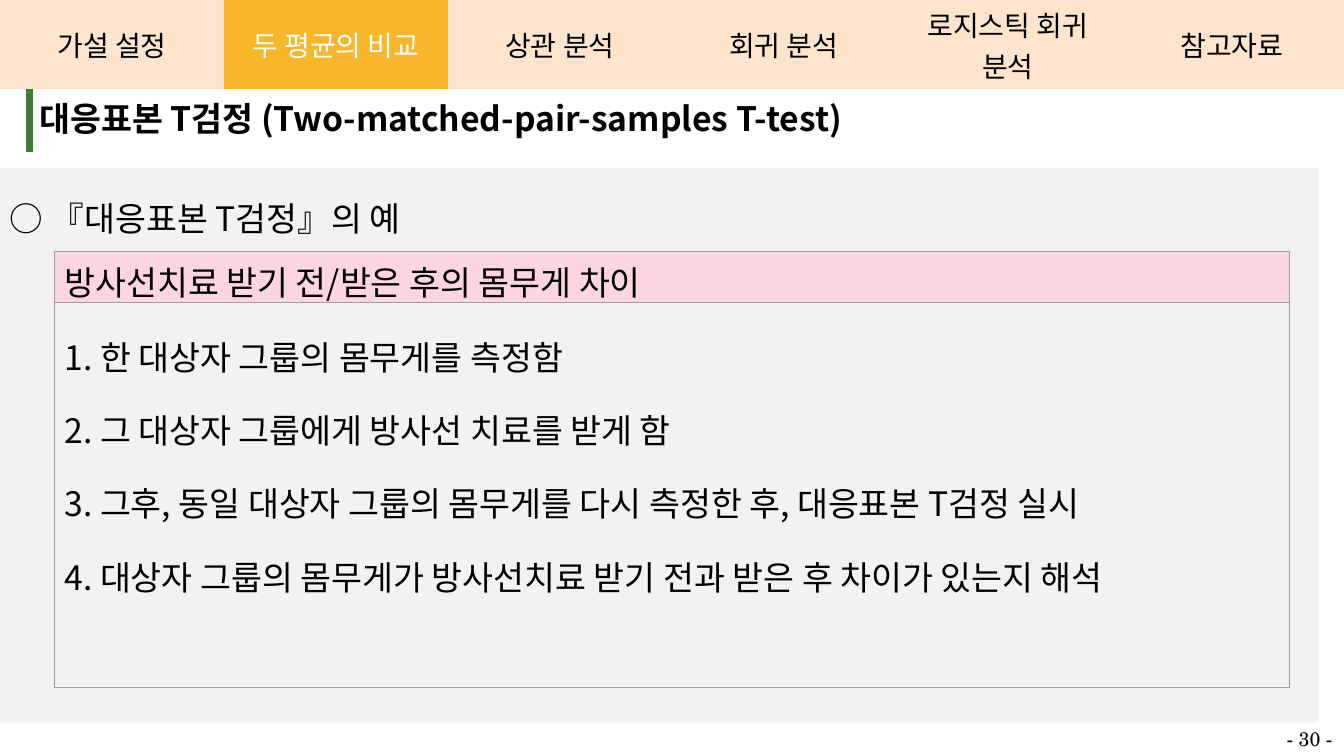
from dataclasses import dataclass
from typing import Optional

from lxml.etree import SubElement
from pptx import Presentation
from pptx.dml.color import RGBColor
from pptx.enum.shapes import MSO_SHAPE
from pptx.enum.text import MSO_ANCHOR, MSO_AUTO_SIZE, PP_ALIGN
from pptx.oxml.ns import qn
from pptx.util import Emu, Inches, Pt

COLORS = {
    "black": "000000", "white": "FFFFFF", "panel": "F2F2F2", "tab": "FCE5CC",
    "active": "F8B62A", "green": "3E7D33", "pink": "FFC9D7", "rule": "9E9E9E",
}
SANS = "Noto Sans CJK KR"
SERIF = "TeX Gyre Schola"
WIDTH, HEIGHT = Emu(12192000), Emu(6858000)
COLS, ROWS = 160, 90


@dataclass
class Box:
    left: float
    top: float
    width: float
    height: float

    def place(self) -> tuple:
        return col(self.left), row(self.top), col(self.width), row(self.height)


@dataclass
class Style:
    size: float = 24
    color: str = "black"
    bold: bool = False
    font: str = SANS
    align: PP_ALIGN = PP_ALIGN.LEFT
    spacing: Optional[float] = None


@dataclass
class Cell:
    text: str
    style: Style
    fill: Optional[str] = None
    alpha: int = 100
    anchor: MSO_ANCHOR = MSO_ANCHOR.TOP
    margins: tuple = (0.1, 0.05, 0.1, 0.05)


@dataclass
class Border:
    sides: str
    color: str
    width: float


def col(n: float) -> Emu:
    return Emu(round(WIDTH * n / COLS))


def row(n: float) -> Emu:
    return Emu(round(HEIGHT * n / ROWS))


def rgb(name: str) -> RGBColor:
    return RGBColor.from_string(COLORS[name])


def write(tf, text: str, style: Style) -> None:
    tf.text = text
    for p in tf.paragraphs:
        p.alignment = style.align
        if style.spacing:
            p.line_spacing = style.spacing
        for r in p.runs:
            r.font.size = Pt(style.size)
            r.font.bold = style.bold
            r.font.name = style.font
            r.font.color.rgb = rgb(style.color)
            SubElement(r.font._element, qn("a:ea"), typeface=style.font)


def set_margins(target, margins: tuple) -> None:
    left, top, right, bottom = (Inches(m) for m in margins)
    target.margin_left, target.margin_top = left, top
    target.margin_right, target.margin_bottom = right, bottom


def set_borders(cell, border: Optional[Border]) -> None:
    tcPr = cell._tc.get_or_add_tcPr()
    for side in "LRTB":
        ln = SubElement(tcPr, qn(f"a:ln{side}"))
        if border and side in border.sides:
            ln.set("w", str(Pt(border.width)))
            fill = SubElement(ln, qn("a:solidFill"))
            SubElement(fill, qn("a:srgbClr"), val=COLORS[border.color])
        else:
            SubElement(ln, qn("a:noFill"))


def fill_cell(cell, item: Cell) -> None:
    if not item.fill:
        cell.fill.background()
        return
    cell.fill.solid()
    cell.fill.fore_color.rgb = rgb(item.fill)
    if item.alpha < 100:
        color = cell._tc.tcPr.find(qn("a:solidFill")).find(qn("a:srgbClr"))
        SubElement(color, qn("a:alpha"), val=str(item.alpha * 1000))


def add_grid(s, box: Box, heights: list[float], cells: list[list[Cell]],
             border: Optional[Border] = None) -> None:
    table = s.shapes.add_table(len(cells), len(cells[0]), *box.place()).table
    table.first_row = table.horz_banding = False
    for i, items in enumerate(cells):
        table.rows[i].height = row(heights[i])
        for j, item in enumerate(items):
            cell = table.cell(i, j)
            write(cell.text_frame, item.text, item.style)
            cell.vertical_anchor = item.anchor
            set_margins(cell, item.margins)
            set_borders(cell, border)
            fill_cell(cell, item)


def add_panel(s) -> None:
    sp = s.shapes.add_shape(MSO_SHAPE.RECTANGLE, *Box(0, 20, 157, 66).place())
    sp.shadow.inherit = False
    sp.fill.solid()
    sp.fill.fore_color.rgb = rgb("panel")
    sp.line.fill.background()
    tf = sp.text_frame
    tf.word_wrap = True
    tf.vertical_anchor = MSO_ANCHOR.TOP
    set_margins(tf, (0.1, 0.1, 0.1, 0.05))
    write(tf, "○ 『대응표본 T검정』의 예", Style(spacing=1.5))


def add_page_number(s) -> None:
    tf = s.shapes.add_textbox(*Box(152, 85.92, 8, 4.08).place()).text_frame
    tf.word_wrap = False
    tf.auto_size = MSO_AUTO_SIZE.SHAPE_TO_FIT_TEXT
    write(tf, "- 30 -", Style(14, font=SERIF))


def nav_tab(text: str, active: bool) -> Cell:
    style = Style(20, "white" if active else "black", align=PP_ALIGN.CENTER)
    return Cell(text, style, "active" if active else "tab",
                anchor=MSO_ANCHOR.MIDDLE, margins=(0.04,) * 4)


def main() -> None:
    prs = Presentation()
    prs.slide_width, prs.slide_height = WIDTH, HEIGHT
    s = prs.slides.add_slide(prs.slide_layouts[6])

    add_panel(s)

    title = Cell("대응표본 T검정 (Two-matched-pair-samples T-test)",
                 Style(bold=True), margins=(0.1,) * 4)
    add_grid(s, Box(3.48, 9.84, 155, 7.2), [7.2], [[title]], Border("L", "green", 6))

    tabs = ["가설 설정", "두 평균의 비교", "상관 분석", "회귀 분석",
            "로지스틱 회귀 분석", "참고자료"]
    nav = [nav_tab(tab, tab == "두 평균의 비교") for tab in tabs]
    add_grid(s, Box(0, 0, COLS, 9), [9], [nav])

    add_page_number(s)

    steps = [
        "1. 한 대상자 그룹의 몸무게를 측정함",
        "2. 그 대상자 그룹에게 방사선 치료를 받게 함",
        "3. 그후, 동일 대상자 그룹의 몸무게를 다시 측정한 후, 대응표본 T검정 실시",
        "4. 대상자 그룹의 몸무게가 방사선치료 받기 전과 받은 후 차이가 있는지 해석",
    ]
    heading = Cell("방사선치료 받기 전/받은 후의 몸무게 차이", Style(),
                   "pink", 70, MSO_ANCHOR.MIDDLE)
    body = Cell("\n".join(steps), Style(spacing=1.5))
    add_grid(s, Box(6.48, 29.88, 147, 51.96), [6.12, 45.84],
             [[heading], [body]], Border("LRTB", "rule", 0.75))

    prs.save("out.pptx")


if __name__ == "__main__":
    main()
